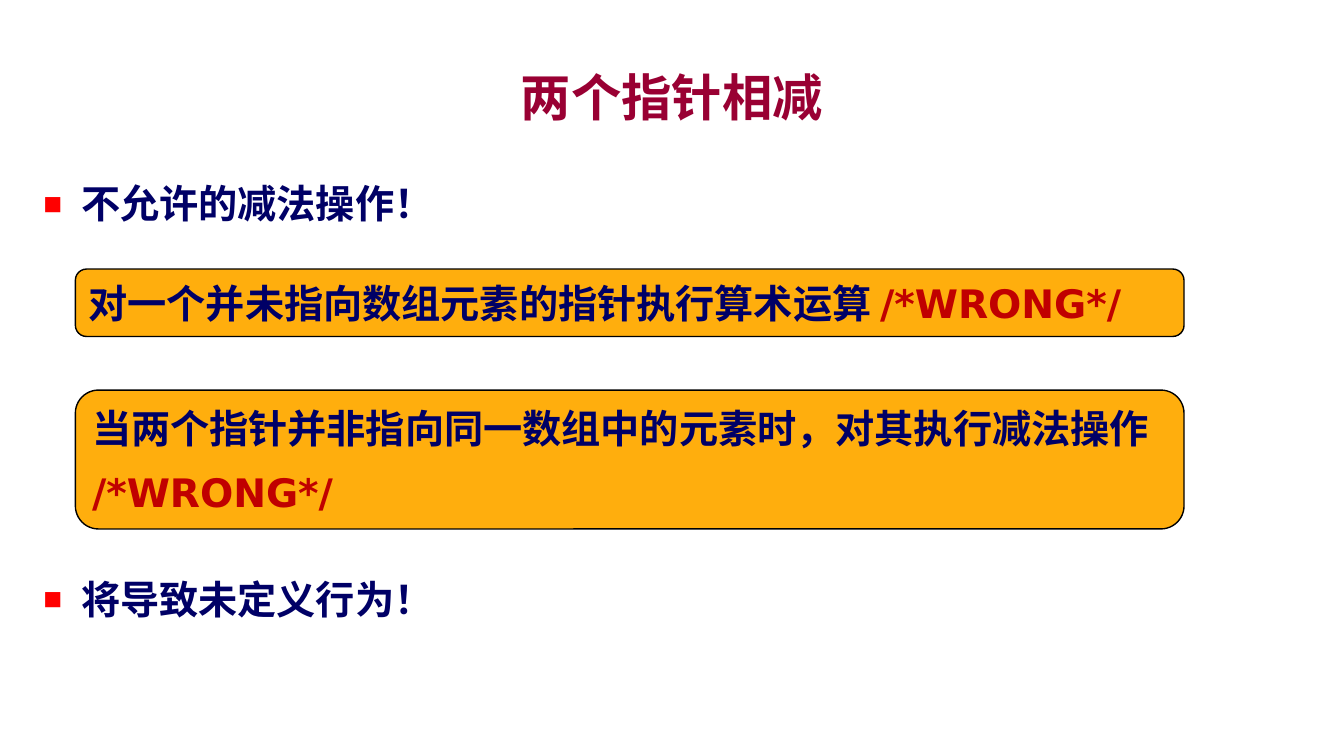
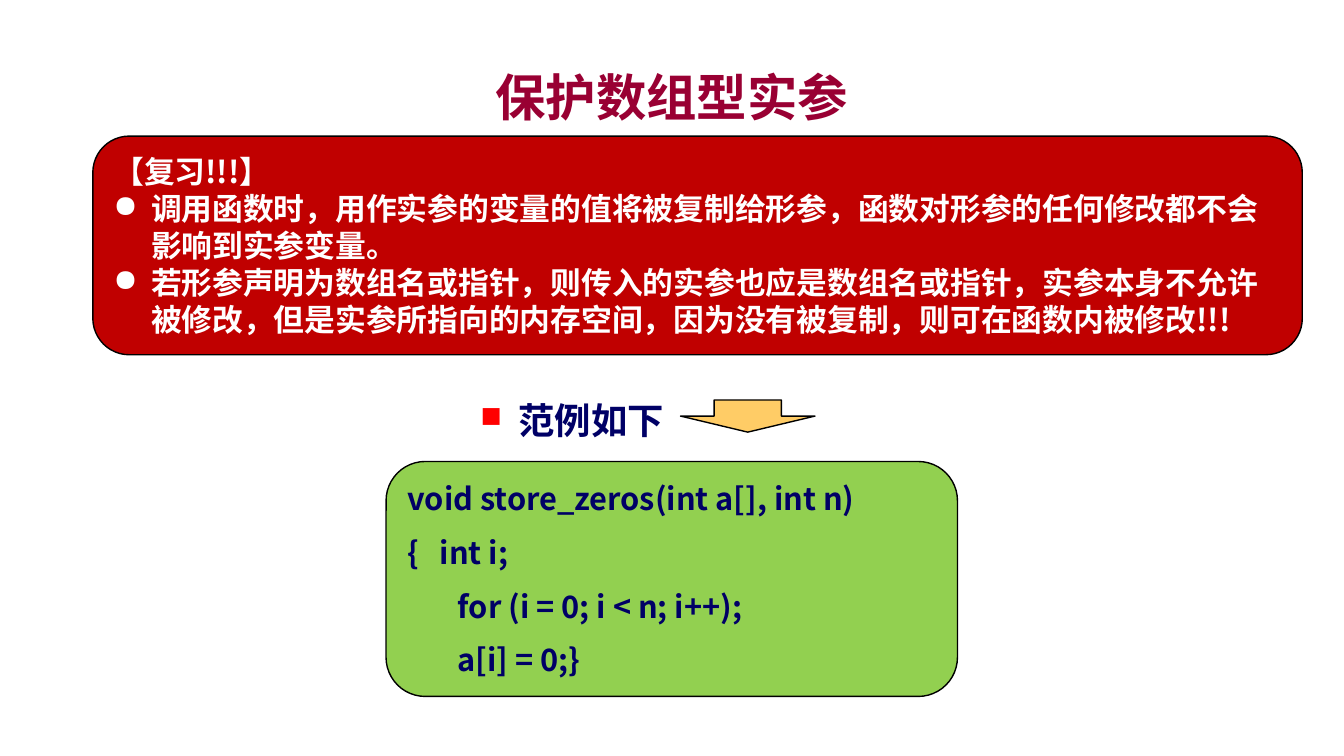
from dataclasses import dataclass, replace

from lxml.etree import SubElement
from pptx import Presentation
from pptx.dml.color import RGBColor
from pptx.enum.shapes import MSO_SHAPE
from pptx.enum.text import MSO_ANCHOR, MSO_AUTO_SIZE, PP_ALIGN
from pptx.oxml.ns import qn
from pptx.util import Cm, Pt

# Shared colours and fonts
CRIMSON = RGBColor(0x99, 0x00, 0x33)
NAVY = RGBColor(0x00, 0x00, 0x66)
RED = RGBColor(0xFF, 0x00, 0x00)
DARK_RED = RGBColor(0xC0, 0x00, 0x00)
ORANGE = RGBColor(0xFF, 0xAE, 0x0D)
PALE_ORANGE = RGBColor(0xFF, 0xCC, 0x66)
GREEN = RGBColor(0x92, 0xD0, 0x50)
WHITE = RGBColor(0xFF, 0xFF, 0xFF)
BLACK = RGBColor(0x00, 0x00, 0x00)
CHINESE_FONT = "Noto Sans CJK SC"
BULLET_INDENT = Cm(0.95)


@dataclass(frozen=True)
class TextStyle:
    size: int
    color: RGBColor
    font: str = CHINESE_FONT


TITLE = TextStyle(36, CRIMSON, "Arial")
BODY = TextStyle(28, NAVY, "Arial")
RULE = TextStyle(28, NAVY, "DejaVu Sans")
WRONG = replace(RULE, color=DARK_RED)
REVIEW = TextStyle(22, WHITE)
CODE = TextStyle(22, NAVY)
EXAMPLE = TextStyle(26, NAVY)


# Text helpers
def format_run(run, style):
    font = run.font
    font.size, font.bold, font.name = Pt(style.size), True, style.font
    font.color.rgb = style.color
    SubElement(font._element, qn("a:ea"), typeface=CHINESE_FONT)


def write(paragraph, text, style, align=PP_ALIGN.LEFT):
    paragraph.text = text
    paragraph.alignment = align
    for run in paragraph.runs:
        format_run(run, style)


def write_lines(text_frame, lines, style, spacing=0):
    text_frame.text = "\n".join(lines)
    for paragraph, line in zip(text_frame.paragraphs, lines):
        write(paragraph, line, style)
        paragraph.space_before = paragraph.space_after = Pt(spacing)


def hang(paragraph, indent):
    properties = paragraph._p.get_or_add_pPr()
    properties.set("marL", str(indent))
    properties.set("indent", str(-indent))
    return properties


def add_bullet(paragraph, character, color=None, percent=100):
    properties = hang(paragraph, BULLET_INDENT)
    if color is not None:
        bullet_color = SubElement(properties, qn("a:buClr"))
        SubElement(bullet_color, qn("a:srgbClr"), val=str(color))
    SubElement(properties, qn("a:buSzPct"), val=str(percent * 1000))
    SubElement(properties, qn("a:buChar"), char=character)


def write_square_bullet(paragraph, text, style, before=6):
    write(paragraph, text, style)
    paragraph.line_spacing = 1.5
    paragraph.space_before = Pt(before)
    add_bullet(paragraph, "■", RED, 80)


# Slide elements
def place(shape, left, top, width, height):
    shape.left, shape.top = Cm(left), Cm(top)
    shape.width, shape.height = Cm(width), Cm(height)


def add_titled_slide(presentation, layout_index, title_text):
    slide = presentation.slides.add_slide(presentation.slide_layouts[layout_index])
    title = slide.shapes.title
    place(title, 2.54, 1.47, 28.78, 1.9)
    title.text_frame.vertical_anchor = MSO_ANCHOR.MIDDLE
    title.text_frame.auto_size = MSO_AUTO_SIZE.NONE
    write(title.text_frame.paragraphs[0], title_text, TITLE, PP_ALIGN.CENTER)
    return slide


def add_filled_shape(shapes, kind, fill, left, top, width, height):
    shape = shapes.add_shape(kind, Cm(left), Cm(top), Cm(width), Cm(height))
    shape.shadow.inherit = False
    shape.fill.solid()
    shape.fill.fore_color.rgb = fill
    shape.line.color.rgb = BLACK
    shape.line.width = Pt(1)
    shape.text_frame.word_wrap = True
    return shape


def add_box(slide, fill, *position):
    box = add_filled_shape(slide.shapes, MSO_SHAPE.ROUNDED_RECTANGLE, fill, *position)
    return box.text_frame


# Slides
def build_subtraction_slide(presentation):
    slide = add_titled_slide(presentation, 1, "两个指针相减")

    body = slide.placeholders[1]
    place(body, 0.84, 3.81, 32.18, 14.4)
    body.text_frame.auto_size = MSO_AUTO_SIZE.NONE
    first, last = body.text_frame.paragraphs[0], body.text_frame.add_paragraph()
    write_square_bullet(first, "不允许的减法操作！", BODY)
    write_square_bullet(last, "将导致未定义行为！", BODY, before=232)

    # Rules with their verdict, on the same line or below
    single = add_box(slide, ORANGE, 1.9, 6.78, 27.94, 1.7)
    write_lines(single, ["对一个并未指向数组元素的指针执行算术运算 "], RULE, 6)
    verdict = single.paragraphs[0].add_run()
    verdict.text = "/*WRONG*/"
    format_run(verdict, WRONG)

    double = add_box(slide, ORANGE, 1.9, 9.83, 27.94, 3.5)
    write_lines(double, ["当两个指针并非指向同一数组中的元素时，对其执行减法操作", "/*WRONG*/"], RULE, 6)
    double.paragraphs[1].runs[0].font.color.rgb = DARK_RED


def build_protection_slide(presentation):
    slide = add_titled_slide(presentation, 5, "保护数组型实参")

    # Review
    review = add_box(slide, DARK_RED, 2.34, 3.43, 30.48, 5.51)
    write_lines(review, [
        "【复习!!!】",
        "调用函数时，用作实参的变量的值将被复制给形参，函数对形参的任何修改都不会影响到实参变量。",
        "若形参声明为数组名或指针，则传入的实参也应是数组名或指针，实参本身不允许被修改，"
        "但是实参所指向的内存空间，因为没有被复制，则可在函数内被修改!!!",
    ], REVIEW)
    for paragraph in review.paragraphs[1:]:
        add_bullet(paragraph, "●")

    # Code
    code = add_box(slide, GREEN, 9.73, 11.63, 14.4, 5.92)
    write_lines(code, [
        "void store_zeros(int a[], int n)",
        "{\tint i;",
        "\tfor (i = 0; i < n; i++);",
        "\ta[i] = 0;}",
    ], CODE, 6)
    hang(code.paragraphs[1], Cm(0.82))

    # Label and arrow leading to the code
    group = slide.shapes.add_group_shape()
    label = group.shapes.add_textbox(Cm(11.86), Cm(9.37), Cm(9.32), Cm(1.8))
    label.text_frame.word_wrap = True
    write_square_bullet(label.text_frame.paragraphs[0], "范例如下", EXAMPLE)
    add_filled_shape(group.shapes, MSO_SHAPE.DOWN_ARROW, PALE_ORANGE, 17.15, 10.08, 3.39, 0.81)


def main():
    presentation = Presentation()
    presentation.slide_width, presentation.slide_height = Cm(33.87), Cm(19.05)
    build_subtraction_slide(presentation)
    build_protection_slide(presentation)
    presentation.save("out.pptx")


if __name__ == "__main__":
    main()
